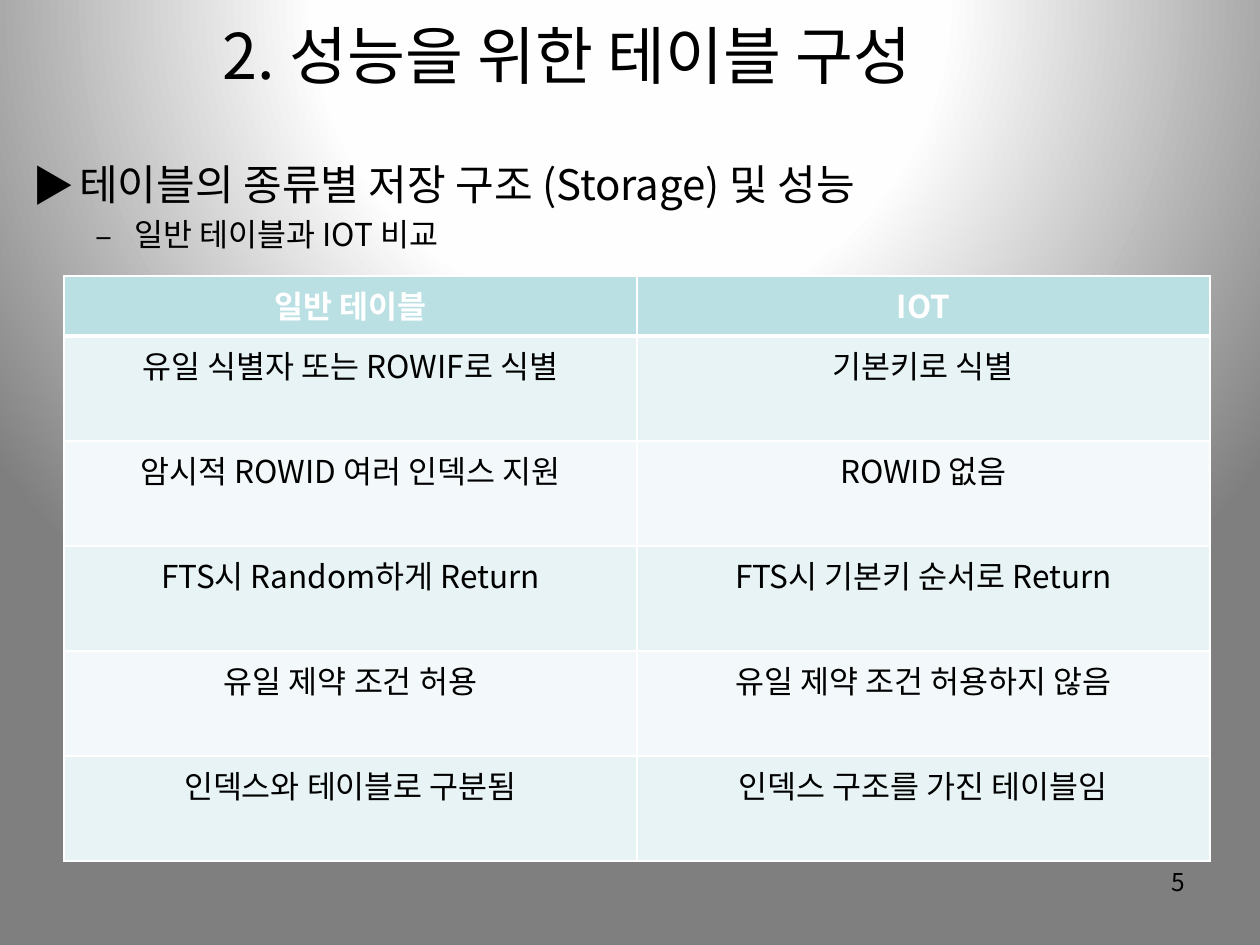
from dataclasses import dataclass

from lxml import etree
from pptx import Presentation
from pptx import util as u
from pptx.dml.color import RGBColor
from pptx.enum import text
from pptx.oxml.ns import qn

PX = 914400 / 126
CENTER, RIGHT = text.PP_ALIGN.CENTER, text.PP_ALIGN.RIGHT


def emu(px):
    return u.Emu(round(px * PX))


@dataclass(frozen=True)
class Theme:
    font: str = "Noto Sans CJK KR"
    ink: str = "000000"
    white: str = "FFFFFF"
    header: str = "BBE0E3"
    bands: tuple = ("E7F3F4", "F3F9FA")
    backdrop: tuple = ((0, "FFFFFF"), (40, "FEFEFE"), (100, "7F7F7F"))
    title: int = 36
    heading: int = 24
    body: int = 18
    number: int = 14


class Deck:
    """Holds the theme and the current slide, with a method per element."""

    def __init__(self, theme, width, height):
        self.t = theme
        self.prs = Presentation()
        self.prs.slide_width, self.prs.slide_height = emu(width), emu(height)
        self.s = self.prs.slides.add_slide(self.prs.slide_layouts[6])

    def background(self):
        self.s.background.fill.gradient()
        grad = self.s.element.find(".//" + qn("a:gradFill"))
        for child in list(grad):
            grad.remove(child)
        stops = etree.SubElement(grad, qn("a:gsLst"))
        for pos, color in self.t.backdrop:
            stop = etree.SubElement(stops, qn("a:gs"), pos=str(pos * 1000))
            etree.SubElement(stop, qn("a:srgbClr"), val=color)
        path = etree.SubElement(grad, qn("a:path"), path="circle")
        etree.SubElement(path, qn("a:fillToRect"), l="50000", t="-80000", r="50000", b="180000")

    def run(self, p, words, size, color=None, bold=False):
        r = p.add_run()
        r.text = words
        f = r.font
        f.size, f.bold, f.name = u.Pt(size), bold, self.t.font
        f.color.rgb = RGBColor.from_string(color or self.t.ink)
        etree.SubElement(r._r.get_or_add_rPr(), qn("a:ea"), typeface=self.t.font)

    def box(self, x, y, w, h, anchor=text.MSO_ANCHOR.TOP):
        tf = self.s.shapes.add_textbox(emu(x), emu(y), emu(w), emu(h)).text_frame
        tf.word_wrap = True
        tf.vertical_anchor = anchor
        return tf

    def line(self, tf, words, size, align):
        p = tf.paragraphs[0]
        p.alignment = align
        self.run(p, words, size)

    def bullets(self, tf, items):
        for i, (mark, words, size, level, margin, hang) in enumerate(items):
            p = tf.add_paragraph() if i else tf.paragraphs[0]
            p.level = level
            p.space_before = u.Pt(size * 0.2)
            pPr = p._p.get_or_add_pPr()
            pPr.set("marL", str(emu(margin)))
            pPr.set("indent", str(-emu(hang)))
            etree.SubElement(pPr, qn("a:buFont"), typeface=self.t.font)
            etree.SubElement(pPr, qn("a:buChar"), char=mark)
            self.run(p, words, size)

    def borders(self, cell, **widths):
        tcPr = cell._tc.get_or_add_tcPr()
        for side in "LRTB":
            ln = etree.SubElement(tcPr, qn("a:ln" + side), w=str(u.Pt(widths.get(side, 1))))
            fill = etree.SubElement(ln, qn("a:solidFill"))
            etree.SubElement(fill, qn("a:srgbClr"), val=self.t.white)

    def table(self, x, y, col_w, heights, rows):
        cols = len(rows[0])
        tb = self.s.shapes.add_table(len(rows), cols, emu(x), emu(y),
                                     emu(col_w * cols), emu(sum(heights))).table
        for col in tb.columns:
            col.width = emu(col_w)
        for i, row in enumerate(rows):
            tb.rows[i].height = emu(heights[i])
            head = i == 0
            for j, words in enumerate(row):
                cell = tb.cell(i, j)
                self.borders(cell, **{0: {"B": 3}, 1: {"T": 3}}.get(i, {}))
                cell.fill.solid()
                color = self.t.header if head else self.t.bands[(i - 1) % 2]
                cell.fill.fore_color.rgb = RGBColor.from_string(color)
                p = cell.text_frame.paragraphs[0]
                p.alignment = CENTER
                self.run(p, words, self.t.body, self.t.white if head else self.t.ink, head)


ROWS = [
    ("일반 테이블", "IOT"),
    ("유일 식별자 또는 ROWIF로 식별", "기본키로 식별"),
    ("암시적 ROWID 여러 인덱스 지원", "ROWID 없음"),
    ("FTS시 Random하게 Return", "FTS시 기본키 순서로 Return"),
    ("유일 제약 조건 허용", "유일 제약 조건 허용하지 않음"),
    ("인덱스와 테이블로 구분됨", "인덱스 구조를 가진 테이블임"),
]

theme = Theme()
deck = Deck(theme, 1260, 945)
deck.background()
deck.line(deck.box(903, 861, 294, 66), "5", theme.number, RIGHT)
deck.line(deck.box(0, 0, 1134, 108, text.MSO_ANCHOR.MIDDLE),
          "2. 성능을 위한 테이블 구성", theme.title, CENTER)
deck.bullets(deck.box(20, 152, 1240, 767), [
    ("▶", "테이블의 종류별 저장 구조 (Storage) 및 성능", theme.heading, 0, 47, 47),
    ("–", "일반 테이블과 IOT 비교", theme.body, 1, 102, 39),
])
deck.table(64, 276, 573, [60] + [105] * 5, ROWS)
deck.prs.save("out.pptx")
